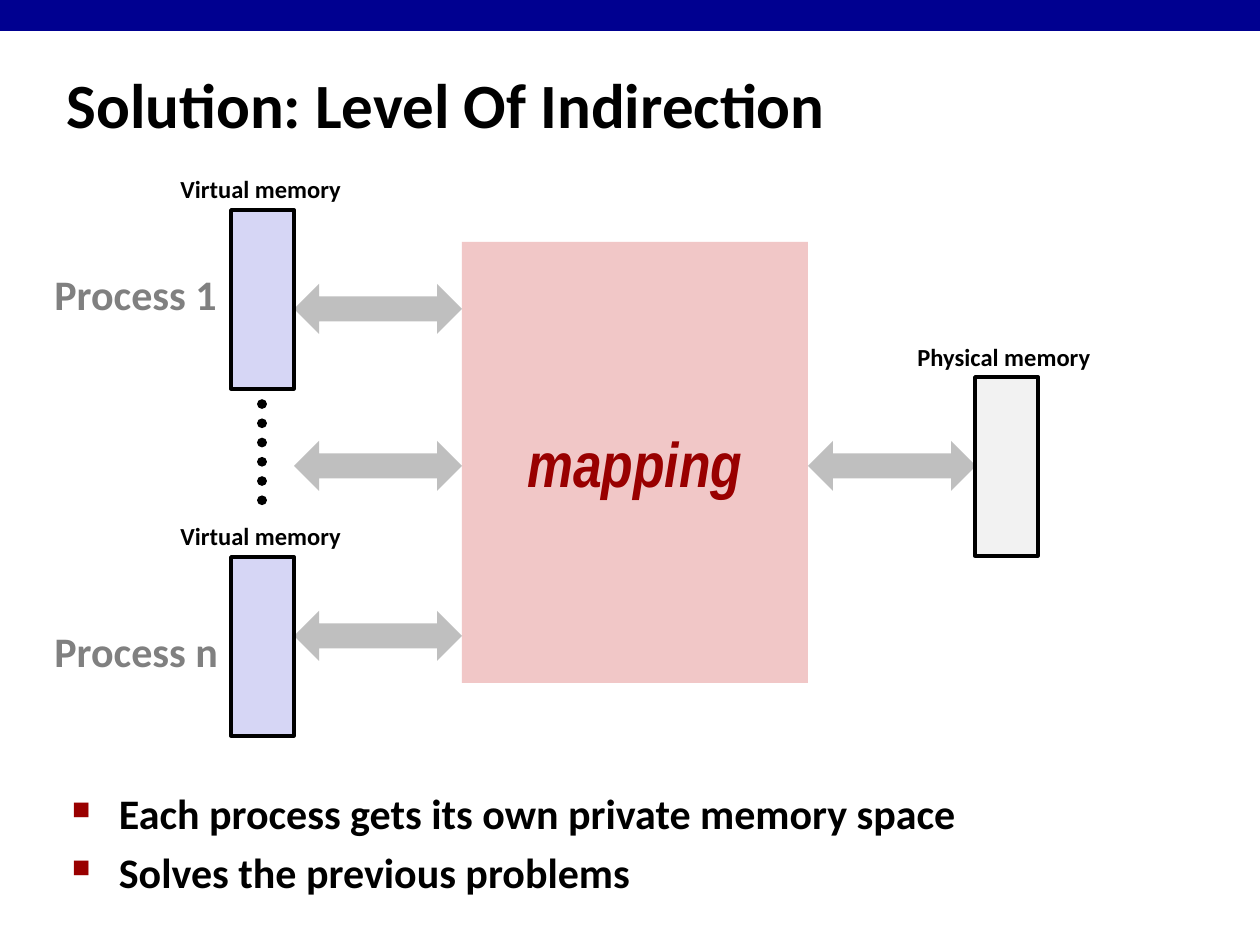
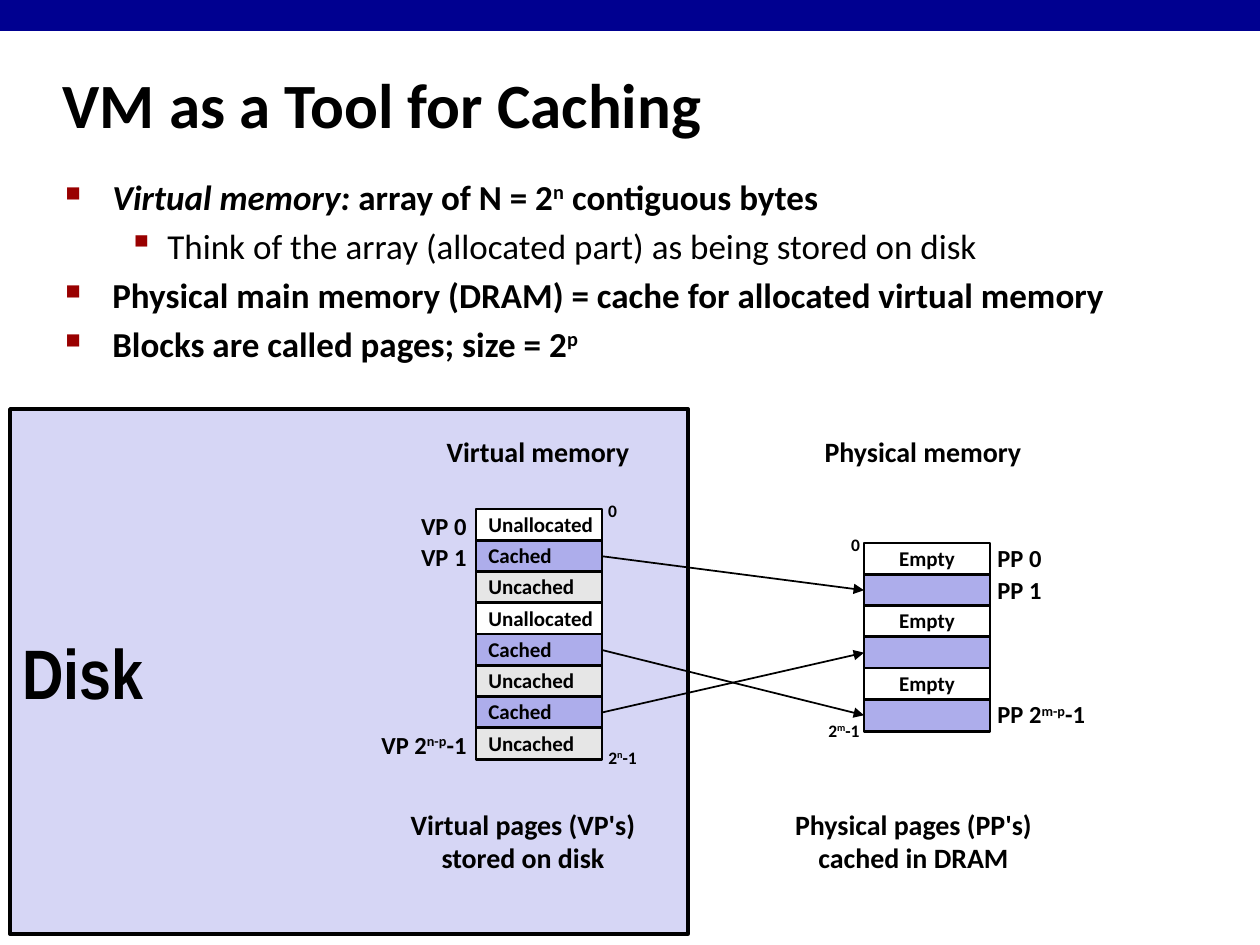
import pptx
import pptx.dml.color
import pptx.enum.dml
import pptx.enum.shapes
import pptx.enum.text
import pptx.oxml
import pptx.oxml.ns
import pptx.util
from lxml import etree

PX = 914400 / 126
PAGE_PITCH = 31.25
PAGE_WIDTH, PAGE_HEIGHT = 126, 32
BODY_FONT = "Calibri"
ACCENT_FONT = "Arial Narrow"
COLORS = {
    "band": "000090",
    "text": "000000",
    "white": "FFFFFF",
    "accent": "990000",
    "process": "808080",
    "mapping": "F1C7C7",
    "arrow": "BFBFBF",
    "virtual": "D6D6F5",
    "physical": "F2F2F2",
    "cached": "ADADEB",
    "uncached": "E6E6E6",
}
PAGE_FILLS = {"Unallocated": "white", "Cached": "cached", "Uncached": "uncached",
              "Empty": "white", "": "cached"}
BULLETS = [("■", 47, -47, 60), ("▪", 102, -39, 100)]
SHAPE = pptx.enum.shapes.MSO_SHAPE
ALIGN = pptx.enum.text.PP_ALIGN
MIDDLE = pptx.enum.text.MSO_ANCHOR.MIDDLE


def px(length):
    return pptx.util.Emu(round(length * PX))


def color(name):
    return pptx.dml.color.RGBColor.from_string(COLORS[name])


def add_xml(parent, tag, **attributes):
    return etree.SubElement(parent, pptx.oxml.ns.qn(tag), attributes)


def format_font(font, size, ink="text", name=BODY_FONT, bold=True):
    font.size = pptx.util.Pt(size)
    font.name = name
    font.bold = bold
    font.color.rgb = color(ink)


def write_runs(para, text, size, **style):
    """Pieces between bars are raised."""
    for index, piece in enumerate(text.split("|")):
        if piece:
            span = para.add_run()
            span.text = piece
            format_font(span.font, size, **style)
            if index % 2:
                span.font._element.set("baseline", "30000")


def write_lines(frame, lines, size, align=ALIGN.LEFT, spacing=None, **style):
    for index, line in enumerate(lines):
        para = frame.add_paragraph() if index else frame.paragraphs[0]
        para.alignment = align
        para.line_spacing = spacing
        write_runs(para, line, size, **style)


def add_label(page, place, text, size, **style):
    frame = page.shapes.add_textbox(*map(px, place)).text_frame
    frame.word_wrap = False
    frame.vertical_anchor = MIDDLE
    write_lines(frame, text.split("\n"), size, **style)


def add_block(page, place, fill, line_width=0, kind=SHAPE.RECTANGLE):
    shape = page.shapes.add_shape(kind, *map(px, place))
    shape.shadow.inherit = False
    shape.fill.solid()
    shape.fill.fore_color.rgb = color(fill)
    if line_width:
        shape.line.color.rgb = color("text")
        shape.line.width = pptx.util.Pt(line_width)
    else:
        shape.line.fill.background()
    shape.text_frame.vertical_anchor = MIDDLE
    return shape


def add_line(page, start, end, width):
    line = page.shapes.add_connector(
        pptx.enum.shapes.MSO_CONNECTOR.STRAIGHT, *map(px, start + end))
    line.line.color.rgb = color("text")
    line.line.width = pptx.util.Pt(width)
    add_xml(line._element.spPr, "a:effectLst")
    return line


def link_pages(page, source, target):
    arrow = add_line(page, (0, 0), (0, 0), 1)
    arrow.begin_connect(source, 3)
    arrow.end_connect(target, 1)
    add_xml(arrow.line._get_or_add_ln(), "a:tailEnd", type="triangle")


def add_bullets(page, place, items, size, margin=None):
    frame = page.shapes.add_textbox(*map(px, place)).text_frame
    frame.word_wrap = True
    if margin is not None:
        frame.margin_left = frame.margin_top = px(margin)
        frame.margin_right = frame.margin_bottom = px(margin)
    for index, (level, text) in enumerate(items):
        para = frame.add_paragraph() if index else frame.paragraphs[0]
        para.level = level
        mark, left, hanging, percent = BULLETS[level]
        if index:
            para.space_before = pptx.util.Pt(size * 0.2)
        properties = para._p.get_or_add_pPr()
        properties.set("marL", str(px(left)))
        properties.set("indent", str(px(hanging)))
        tint = add_xml(properties, "a:buClr")
        add_xml(tint, "a:srgbClr", val=COLORS["accent"])
        add_xml(properties, "a:buSzPct", val=str(percent * 1000))
        add_xml(properties, "a:buChar", char=mark)
        write_runs(para, text, size, bold=level == 0)
    return frame


def add_memory(page, left, top, pages, align):
    blocks = []
    for index, state in enumerate(pages):
        place = (left, top + PAGE_PITCH * index, PAGE_WIDTH, PAGE_HEIGHT)
        block = add_block(page, place, PAGE_FILLS[state], 1.5)
        block.text_frame.word_wrap = False
        if state:
            write_lines(block.text_frame, [state], 12, align, 0.98)
        blocks.append(block)
    return blocks


def add_page(deck, title, left, width):
    page = deck.slides.add_slide(deck.slide_layouts[5])
    add_block(page, (0, 0, 1260, 31), "band")
    box = page.shapes.title
    box.left, box.top, box.width, box.height = map(px, (left, 49, width, 108))
    frame = box.text_frame
    frame.auto_size = pptx.enum.text.MSO_AUTO_SIZE.NONE
    frame.vertical_anchor = MIDDLE
    write_lines(frame, [title], 36)
    return page


def build_indirection(deck):
    page = add_page(deck, "Solution: Level Of Indirection", 54, 1201)
    add_bullets(page, (72, 788, 1147, 136), [
        (0, "Each process gets its own private memory space"),
        (0, "Solves the previous problems"),
    ], 24, margin=0)

    mapping = add_block(page, (462, 242, 346, 441), "mapping")
    write_lines(mapping.text_frame, ["mapping"], 36, ALIGN.CENTER,
                ink="accent", name=ACCENT_FONT)
    mapping.text_frame.paragraphs[0].runs[0].font.italic = True

    for left, top in [(294, 284), (294, 441), (294, 611), (808, 441)]:
        add_block(page, (left, top, 168, 50), "arrow", kind=SHAPE.LEFT_RIGHT_ARROW)

    for process, label_top, memory_top in [("Process 1", 262, 210), ("Process n", 619, 557)]:
        add_label(page, (42, label_top, 189, 63), process, 24, ink="process")
        add_label(page, (168, memory_top - 43, 188, 43), "Virtual memory", 14)
        add_block(page, (231, memory_top, 63, 179), "virtual", 2)
    add_label(page, (905, 335, 200, 43), "Physical memory", 14)
    add_block(page, (975, 377, 63, 179), "physical", 2)

    dots = add_line(page, (262, 404), (262, 508), 5.5)
    dots.line.dash_style = pptx.enum.dml.MSO_LINE.ROUND_DOT
    dots.line._get_or_add_ln().set("cap", "rnd")


def build_caching(deck):
    page = add_page(deck, "VM as a Tool for Caching", 50, 1142)
    body = add_bullets(page, (53, 169, 1145, 252), [
        (0, "Virtual memory: ||array of N = 2|n| contiguous bytes"),
        (1, "Think of the array (allocated part) as being stored on disk"),
        (0, "Physical main memory (DRAM) = cache for allocated virtual memory"),
        (0, "Blocks are called pages; size = 2|p"),
    ], 20)
    body.paragraphs[0].runs[0].font.italic = True

    disk = add_block(page, (10, 409, 678, 525), "virtual", 2)
    write_lines(disk.text_frame, ["Disk"], 40, name=ACCENT_FONT)

    virtual = add_memory(page, 476, 509, [
        "Unallocated", "Cached", "Uncached", "Unallocated",
        "Cached", "Uncached", "Cached", "Uncached"], ALIGN.LEFT)
    physical = add_memory(page, 864, 543, ["Empty", ""] * 3, ALIGN.CENTER)
    for source, target in [(1, 1), (4, 5), (6, 3)]:
        link_pages(page, virtual[source], physical[target])

    for place, text in [((433, 433, 210, 42), "Virtual memory"),
                        ((811, 433, 224, 42), "Physical memory")]:
        add_label(page, place, text, 16, align=ALIGN.CENTER, spacing=0.88)
    for place, text in [((408, 508, 71, 39), "VP 0"),
                        ((408, 539, 71, 39), "VP 1"),
                        ((365, 727, 114, 39), "VP 2|n-p|-1")]:
        add_label(page, place, text, 14, align=ALIGN.RIGHT, spacing=0.88)
    for place, text in [((985, 539, 70, 42), "PP 0"),
                        ((985, 571, 70, 42), "PP 1"),
                        ((985, 696, 117, 40), "PP 2|m-p|-1")]:
        add_label(page, place, text, 14, spacing=0.88)
    for place, text in [((595, 494, 35, 34), "0"),
                        ((595, 741, 55, 34), "2|n|-1"),
                        ((838, 528, 35, 34), "0"),
                        ((815, 714, 58, 34), "2|m|-1")]:
        add_label(page, place, text, 10, align=ALIGN.CENTER, spacing=0.98)
    for place, text in [((394, 803, 258, 79), "Virtual pages (VP's)\nstored on disk"),
                        ((778, 803, 271, 79), "Physical pages (PP's)\ncached in DRAM")]:
        add_label(page, place, text, 16, align=ALIGN.CENTER, spacing=0.98)


def main():
    deck = pptx.Presentation()
    deck.slide_width, deck.slide_height = px(1260), px(945)
    build_indirection(deck)
    build_caching(deck)
    deck.save("out.pptx")


if __name__ == "__main__":
    main()
